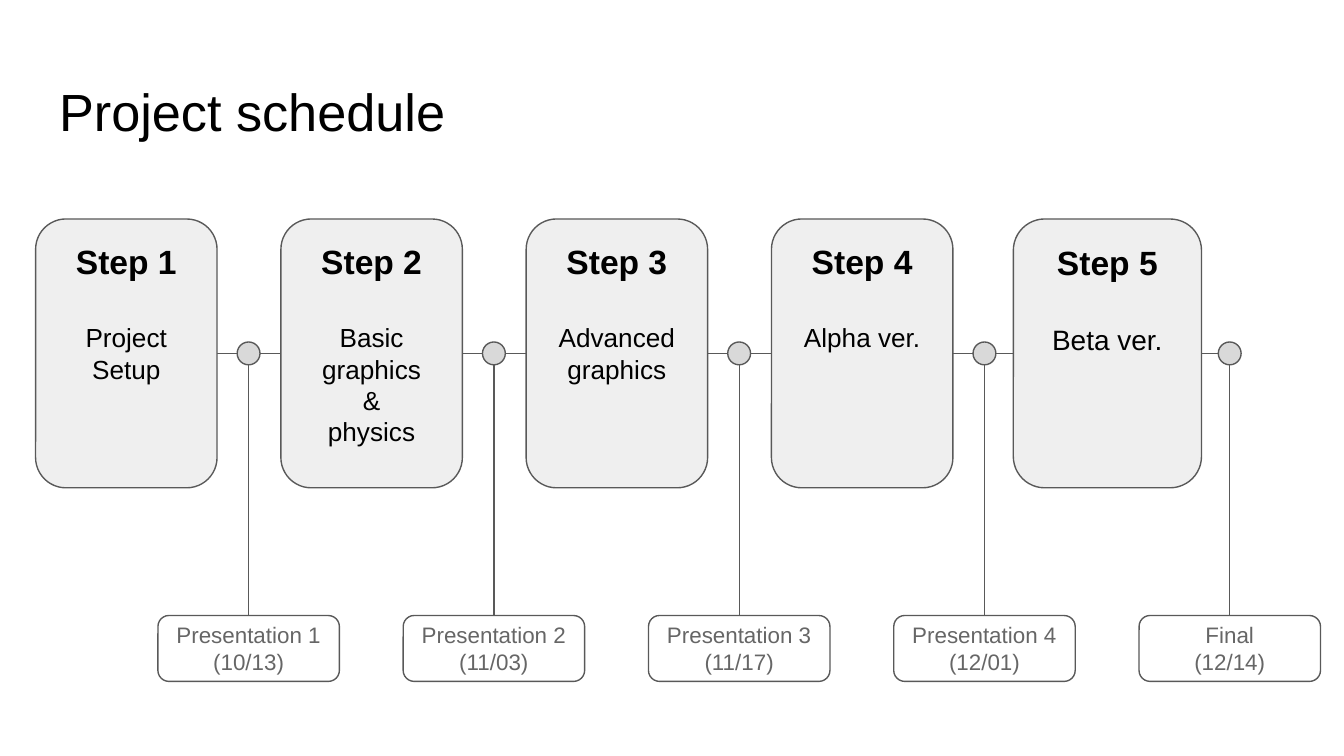
from pptx import Presentation
from pptx.dml.color import RGBColor
from pptx.enum.shapes import MSO_CONNECTOR as CONNECTOR, MSO_SHAPE as SHAPE
from pptx.enum.text import MSO_ANCHOR as ANCHOR, PP_ALIGN as ALIGN
from pptx.oxml.ns import qn
from pptx.util import Inches, Pt
from lxml import etree

INK, GREY, OUTLINE = "000000", "666666", "595959"
PITCH = 7.3 / 4
SPINE_Y = 2.63
DOT = 0.17
CARD_W = 1.35

# step lines, step text size, card width, milestone lines
stages = [
    (["Project", "Setup"], 14, CARD_W, ["Presentation 1 (10/13)"]),
    (["Basic graphics", "&", "physics"], 14, CARD_W, ["Presentation 2", "(11/03)"]),
    (["Advanced graphics"], 14, CARD_W, ["Presentation 3\n(11/17)"]),
    (["Alpha ver."], 14, CARD_W, ["Presentation 4", "(12/01)"]),
    (["Beta ver."], 15, 1.4, ["Final", "(12/14)"]),
]

prs = Presentation()
prs.slide_width = Inches(10)
prs.slide_height = Inches(10) * 9 // 16
slide = prs.slides.add_slide(prs.slide_layouts[5])


def color(value):
    return RGBColor.from_string(value)


def add_node(kind, center_x, top, width, height, fill=None, lines=(), anchor=ANCHOR.TOP):
    """Add an outlined shape centred on center_x; lines hold (text, size, bold, colour)."""
    node = slide.shapes.add_shape(
        kind, Inches(center_x - width / 2), Inches(top), Inches(width), Inches(height))
    node.shadow.inherit = False
    if fill:
        node.fill.solid()
        node.fill.fore_color.rgb = color(fill)
    else:
        node.fill.background()
    node.line.color.rgb = color(OUTLINE)
    node.line.width = Pt(0.75)
    frame = node.text_frame
    frame.word_wrap = True
    frame.vertical_anchor = anchor
    frame.margin_left = frame.margin_right = Inches(0.1)
    frame.margin_top = frame.margin_bottom = Inches(0.1)
    for i, (text, size, bold, ink) in enumerate(lines):
        paragraph = frame.paragraphs[0] if i == 0 else frame.add_paragraph()
        paragraph.text = text
        paragraph.alignment = ALIGN.CENTER
        font = paragraph.font
        font.name, font.size, font.bold = "Arial", Pt(size), bold
        font.color.rgb = color(ink)
    return node


title = slide.shapes.title
title.left, title.top = Inches(0.34), Inches(0.49)
title.width, title.height = Inches(9.32), Inches(0.63)
title_frame = title.text_frame
title_frame.text = "Project schedule"
title_frame.vertical_anchor = ANCHOR.TOP
title_frame.margin_left = title_frame.margin_right = Inches(0.1)
title_frame.margin_top = title_frame.margin_bottom = Inches(0.1)
heading = title_frame.paragraphs[0]
heading.alignment = ALIGN.LEFT
heading.font.name, heading.font.size = "Arial", Pt(28)
heading.font.color.rgb = color(INK)

spine = slide.shapes.add_connector(
    CONNECTOR.STRAIGHT, Inches(1.61), Inches(SPINE_Y), Inches(9.07), Inches(SPINE_Y))
connectors = [spine]

for i, (step_lines, step_size, card_width, milestone_lines) in enumerate(stages):
    card_x = 0.94 + i * PITCH
    dot_x = 1.85 + i * PITCH

    card = add_node(
        SHAPE.ROUNDED_RECTANGLE, card_x, 1.63, card_width, 2, "EFEFEF",
        [(f"Step {i + 1}", 18, True, INK)]
        + [(line, step_size, False, INK) for line in step_lines])
    card.text_frame.paragraphs[1].space_before = Pt(21.5)
    if i == 0:
        spine.begin_connect(card, 3)

    add_node(SHAPE.OVAL, dot_x, SPINE_Y - DOT / 2, DOT, DOT, "D9D9D9")
    milestone = add_node(
        SHAPE.ROUNDED_RECTANGLE, dot_x, 4.58, CARD_W, 0.49,
        lines=[(line, 12, False, GREY) for line in milestone_lines],
        anchor=ANCHOR.MIDDLE)
    drop = slide.shapes.add_connector(
        CONNECTOR.STRAIGHT, Inches(dot_x), Inches(SPINE_Y + DOT / 2),
        Inches(dot_x), Inches(4.58))
    drop.end_connect(milestone, 0)
    connectors.append(drop)

for connector in connectors:
    connector.line.color.rgb = color(OUTLINE)
    connector.line.width = Pt(0.75)
    etree.SubElement(connector._element.spPr, qn("a:effectLst"))

prs.save("out.pptx")
